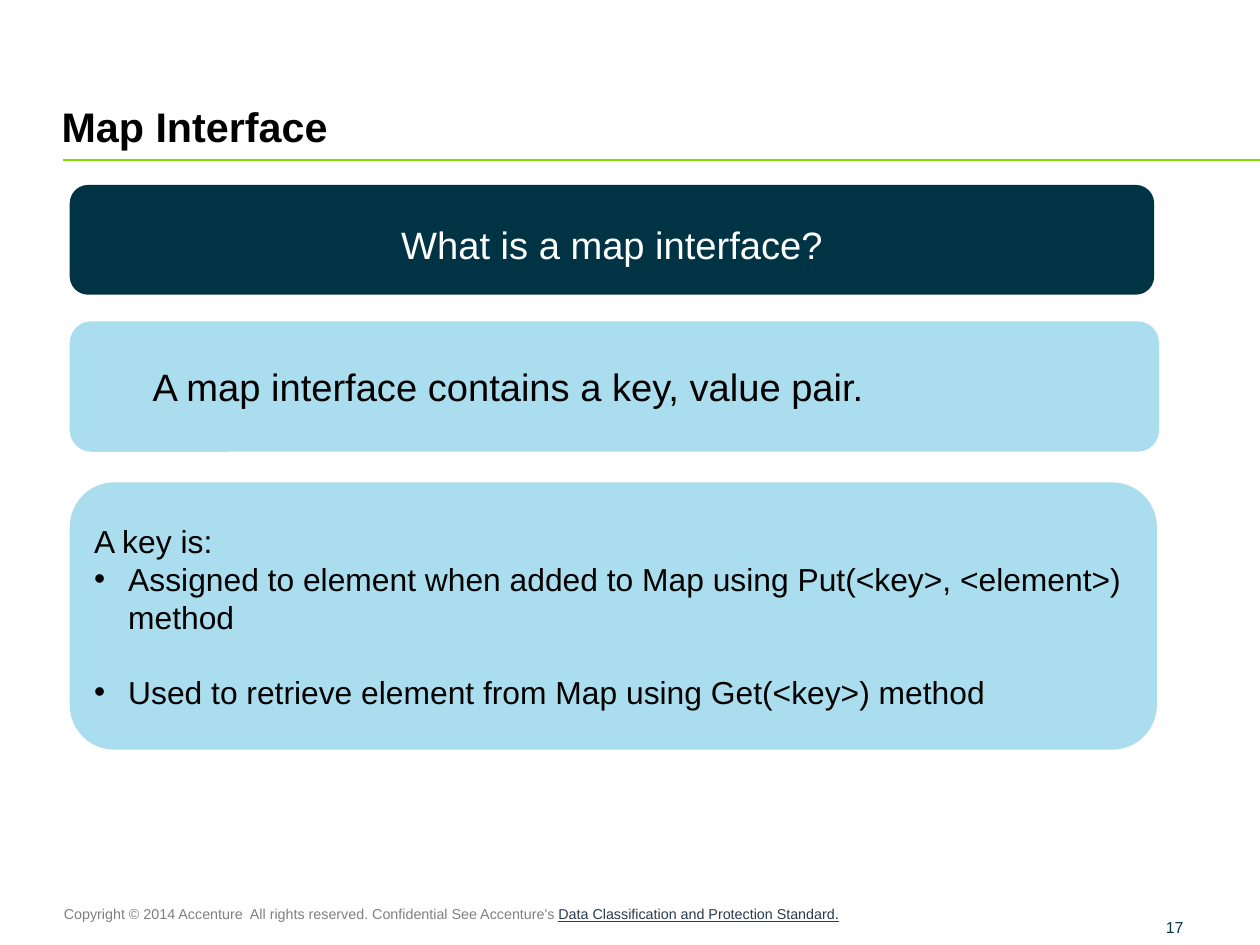
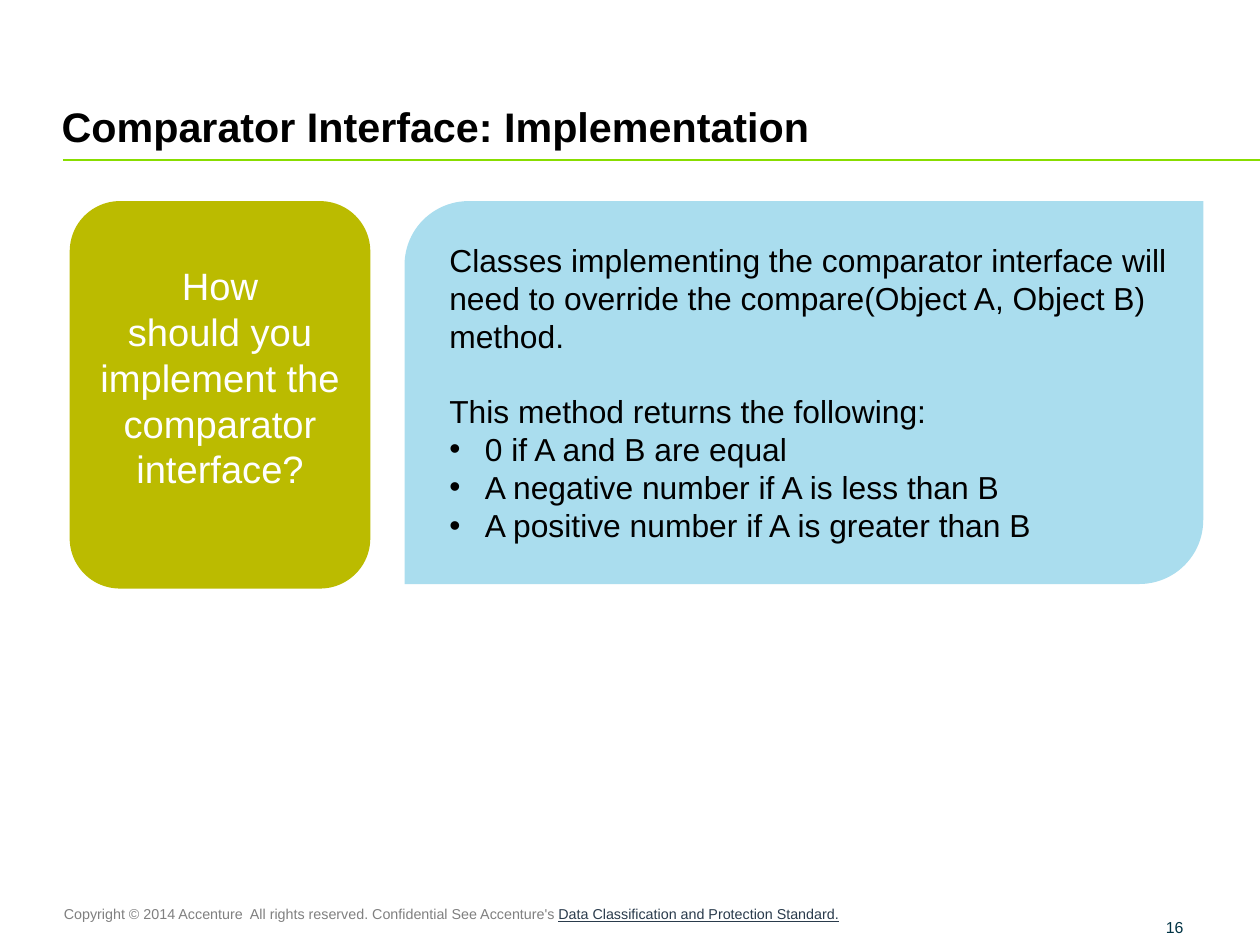
from dataclasses import dataclass

from lxml.etree import SubElement
from pptx import Presentation
from pptx.dml.color import RGBColor as Rgb
from pptx.enum.shapes import MSO_CONNECTOR as Connector, MSO_SHAPE as Shape
from pptx.enum.text import MSO_ANCHOR as Anchor, PP_ALIGN as Align
from pptx.oxml.ns import qn
from pptx.util import Cm, Pt


@dataclass(frozen=True)
class Theme:
    font: str = "Arial"
    black: str = "000000"
    white: str = "FFFFFF"
    navy: str = "003344"
    sky: str = "AADDEE"
    olive: str = "BBBB00"
    green: str = "88DD00"
    grey: str = "808080"
    link: str = "2A3B4C"
    title_size: int = 26
    lead_size: int = 24
    body_size: int = 20
    page_size: int = 10
    footer_size: int = 9
    line_gap: int = 23
    rounding: float = 0.167


theme = Theme()
standard_insets = (0.25, 0.13, 0.25, 0.13)


def style_run(run, size, color, bold=False, underline=False):
    run.font.name = theme.font
    run.font.size = Pt(size)
    run.font.bold = bold
    run.font.underline = underline
    run.font.color.rgb = Rgb.from_string(color)


def write(frame, lines, size, color, align=Align.LEFT, anchor=Anchor.MIDDLE,
          insets=standard_insets, bold=False):
    frame.word_wrap = True
    frame.vertical_anchor = anchor
    (frame.margin_left, frame.margin_top,
     frame.margin_right, frame.margin_bottom) = [Cm(inset) for inset in insets]
    frame.text = "\n".join(text for text, *_ in lines)
    for paragraph, (_, left, hanging, gap) in zip(frame.paragraphs, lines):
        paragraph.alignment = align
        if gap:
            paragraph.space_before = Pt(gap)
        properties = paragraph._p.get_or_add_pPr()
        properties.set("marL", str(Cm(left)))
        properties.set("indent", str(-Cm(hanging)))
        if hanging:
            SubElement(properties, qn("a:buFont")).set("typeface", theme.font)
            SubElement(properties, qn("a:buChar")).set("char", "•")
        for run in paragraph.runs:
            style_run(run, size, color, bold)


map_panels = [
    (Shape.ROUNDED_RECTANGLE, (1.55, 4.11, 24.1, 2.44), theme.navy,
     [("What is a map interface?", 0, 0, 0)],
     dict(size=theme.lead_size, color=theme.white, align=Align.CENTER,
          anchor=Anchor.BOTTOM, insets=(0.25, 0.13, 0.25, 0.49))),
    (Shape.ROUNDED_RECTANGLE, (1.55, 7.14, 24.21, 2.9), theme.sky,
     [("A map interface contains a key, value pair.", 1.45, 0, 0)],
     dict(size=theme.lead_size, color=theme.black)),
    (Shape.ROUNDED_RECTANGLE, (1.55, 10.72, 24.16, 5.94), theme.sky,
     [("A key is:", 0, 0, 0),
      ("Assigned to element when added to Map using Put(<key>, <element>) method",
       0.76, 0.76, 0),
      ("Used to retrieve element from Map using Get(<key>) method",
       0.76, 0.76, theme.line_gap)],
     dict(size=theme.body_size, color=theme.black)),
]

comparator_panels = [
    (Shape.ROUND_2_DIAG_RECTANGLE, (8.99, 4.47, 17.75, 8.51), theme.sky,
     [("Classes implementing the comparator interface will need to override "
       "the compare(Object A, Object B) method.", 0.33, 0, 0),
      ("This method returns the following:", 0.33, 0, theme.line_gap),
      ("0 if A and B are equal", 1.12, 0.79, 0),
      ("A negative number if A is less than B", 1.12, 0.79, 0),
      ("A positive number if A is greater than B", 1.12, 0.79, 0)],
     dict(size=theme.body_size, color=theme.black)),
    (Shape.ROUNDED_RECTANGLE, (1.55, 4.47, 6.68, 8.61), theme.olive,
     [("How", 0, 0, 0),
      ("should you implement the comparator interface?", 0, 0, 0)],
     dict(size=theme.lead_size, color=theme.white, align=Align.CENTER,
          insets=(0, 0, 0, 0.79))),
]

pages = [
    ("Map Interface", "17", map_panels),
    ("Comparator Interface: Implementation", "16", comparator_panels),
]

deck = Presentation()
deck.slide_width, deck.slide_height = Cm(28), Cm(21)

for heading, page_number, panels in pages:
    slide = deck.slides.add_slide(deck.slide_layouts[6])

    rule = slide.shapes.add_connector(
        Connector.STRAIGHT, Cm(1.4), Cm(3.56), deck.slide_width, Cm(3.56))
    rule.line.color.rgb = Rgb.from_string(theme.green)
    rule.line.width = Pt(1)
    SubElement(rule._element.spPr, qn("a:effectLst"))

    copyright_line = slide.shapes.add_textbox(
        Cm(1.17), Cm(19.99), Cm(25.55), Cm(0.64)).text_frame
    write(copyright_line,
          [("Copyright © 2014 Accenture  All rights reserved. "
            "Confidential See Accenture's ", 0, 0, 0)],
          theme.footer_size, theme.grey, anchor=Anchor.TOP)
    standard = copyright_line.paragraphs[0].add_run()
    standard.text = "Data Classification and Protection Standard."
    style_run(standard, theme.footer_size, theme.link, underline=True)

    title = slide.shapes.add_textbox(Cm(1.37), Cm(0.94), Cm(26.62), Cm(2.41))
    write(title.text_frame, [(heading, 0, 0, 0)], theme.title_size, theme.black,
          anchor=Anchor.BOTTOM, insets=(0, 0.13, 0.25, 0), bold=True)

    for outline, place, fill, lines, text_style in panels:
        panel = slide.shapes.add_shape(outline, *[Cm(length) for length in place])
        panel.adjustments[0] = theme.rounding
        panel.shadow.inherit = False
        panel.fill.solid()
        panel.fill.fore_color.rgb = Rgb.from_string(fill)
        panel.line.fill.background()
        write(panel.text_frame, lines, **text_style)

    number = slide.shapes.add_textbox(Cm(25.91), Cm(20.02), Cm(1.93), Cm(0.79))
    write(number.text_frame, [(page_number, 0, 0, 0)], theme.page_size, theme.navy,
          anchor=Anchor.BOTTOM, insets=(0, 0, 0, 0))

deck.save("out.pptx")
